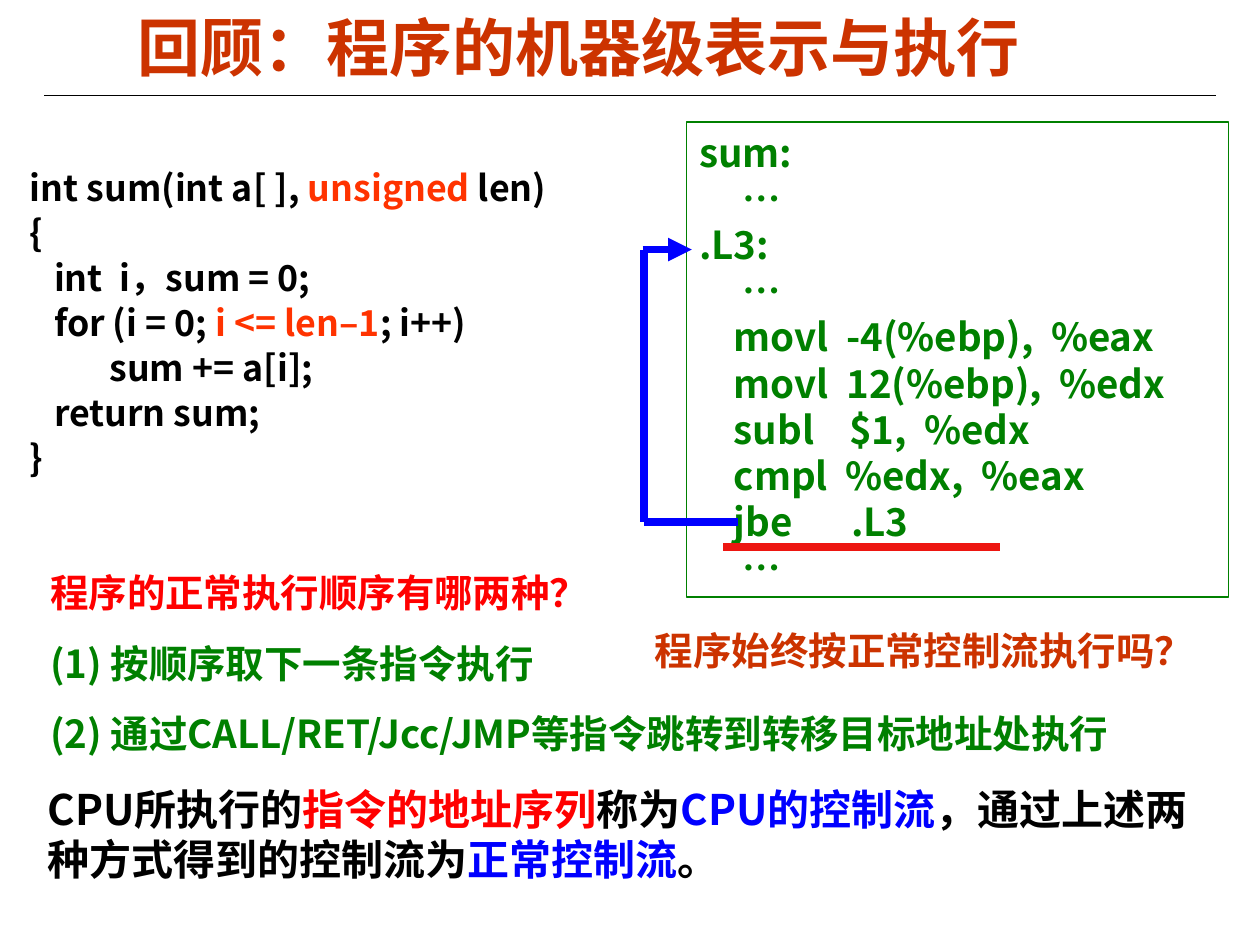
import pptx
import pptx.dml.color
import pptx.enum.shapes
import pptx.enum.text
import pptx.oxml.ns
import pptx.util
from lxml import etree

Pt = pptx.util.Pt
qn = pptx.oxml.ns.qn


class Theme:
    heading = "CC3300"
    black = "000000"
    orange = "FF3300"
    green = "008000"
    red = "FF0000"
    underline = "ED1611"
    blue = "0000FF"
    latin = "Arial"
    cjk = "Noto Sans CJK SC"
    title_size = 36
    code_size = 20.4
    text_size = 22
    summary_size = 24
    leading = 1.2
    code_leading = 1.26
    hairline = 0.75
    thick = 4.5


def rgb(value):
    return pptx.dml.color.RGBColor.from_string(value)


def write(sp, paragraphs, size, font=Theme.cjk, leading=Theme.leading, gap=0):
    """Fill a shape with paragraphs, each a list of (text, colour) runs."""
    tf = sp.text_frame
    tf.word_wrap = True
    for i, runs in enumerate(paragraphs):
        p = tf.paragraphs[0] if i == 0 else tf.add_paragraph()
        p.alignment = pptx.enum.text.PP_ALIGN.LEFT
        if leading:
            p.line_spacing = Pt(size * leading)
        if i:
            p.space_before = Pt(gap)
        for text, color in runs:
            r = p.add_run()
            r.text = text
            r.font.name = font
            r.font.size = Pt(size)
            r.font.bold = True
            r.font.color.rgb = rgb(color)
            etree.SubElement(r.font._element, qn("a:ea"), typeface=Theme.cjk)
    return tf


prs = pptx.Presentation()
prs.slide_width, prs.slide_height = Pt(720), Pt(540)
s = prs.slides.add_slide(prs.slide_layouts[6])

# Title
sp = s.shapes.add_textbox(Pt(6.5), Pt(7.9), Pt(648), Pt(37.4))
tf = write(sp, [[("回顾：程序的机器级表示与执行", Theme.heading)]],
           Theme.title_size, font=Theme.latin, leading=None)
tf.vertical_anchor = pptx.enum.text.MSO_ANCHOR.MIDDLE
tf.paragraphs[0].alignment = pptx.enum.text.PP_ALIGN.CENTER

# C source
c_code = [
    [("int sum(int a[ ], ", Theme.black), ("unsigned", Theme.orange),
     (" len)", Theme.black)],
    [("{", Theme.black)],
    [("   int  i，sum = 0;", Theme.black)],
    [("   for (i = 0; ", Theme.black), ("i <= len–1", Theme.orange),
     ("; i++)", Theme.black)],
    [("\t    sum += a[i];", Theme.black)],
    [("   return sum;", Theme.black)],
    [("}", Theme.black)],
]
sp = s.shapes.add_textbox(Pt(10), Pt(90), Pt(400), Pt(188.6))
tf = write(sp, c_code, Theme.code_size, leading=Theme.code_leading)
for p in tf.paragraphs:
    pPr = p._p.get_or_add_pPr()
    pPr.set("marL", str(Pt(27)))
    pPr.set("indent", str(Pt(-27)))

# Assembly listing
assembly = [
    "sum:",
    "     …",
    ".L3:",
    "     …",
    "    movl  -4(%ebp),  %eax",
    "    movl  12(%ebp),  %edx",
    "    subl    $1,  %edx",
    "    cmpl  %edx,  %eax",
    "    jbe\t   .L3",
    "     …",
]
sp = s.shapes.add_shape(pptx.enum.shapes.MSO_SHAPE.RECTANGLE,
                        Pt(392.4), Pt(69.8), Pt(309.6), Pt(271.4))
sp.shadow.inherit = False
sp.fill.background()
sp.line.color.rgb = rgb(Theme.green)
sp.line.width = Pt(Theme.hairline)
tf = write(sp, [[(line, Theme.green)] for line in assembly], Theme.text_size)
tf.vertical_anchor = pptx.enum.text.MSO_ANCHOR.MIDDLE
for p in tf.paragraphs:
    tabs = etree.SubElement(p._p.get_or_add_pPr(), qn("a:tabLst"))
    etree.SubElement(tabs, qn("a:tab"), pos=str(Pt(72)), algn="l")

# Questions and answers
sp = s.shapes.add_textbox(Pt(21.6), Pt(321.8), Pt(653.8), Pt(113.8))
write(sp, [
    [("程序的正常执行顺序有哪两种？", Theme.red)],
    [("(1) 按顺序取下一条指令执行", Theme.green)],
    [("(2) 通过CALL/RET/Jcc/JMP等指令跳转到转移目标地址处执行", Theme.green)],
], Theme.text_size, gap=13.8)

sp = s.shapes.add_textbox(Pt(367.2), Pt(355), Pt(331.2), Pt(33.8))
write(sp, [[("程序始终按正常控制流执行吗？", Theme.heading)]],
      Theme.text_size, font=Theme.latin)

# Summary
sp = s.shapes.add_textbox(Pt(20.2), Pt(444.2), Pt(676), Pt(64.8))
write(sp, [[
    ("CPU所执行的", Theme.black), ("指令的地址序列", Theme.red),
    ("称为", Theme.black), ("CPU的控制流", Theme.blue),
    ("，通过上述两种方式得到的控制流为", Theme.black),
    ("正常控制流", Theme.blue), ("。", Theme.black),
]], Theme.summary_size)

# Title rule, jump underline, and the jump path back to .L3
lines = [
    (25.2, 54.7, 694.8, 54.7, Theme.black, Theme.hairline, False),
    (413.3, 312.5, 571.7, 312.5, Theme.underline, Theme.thick, False),
    (421.9, 298.1, 367.9, 298.1, Theme.blue, Theme.thick, False),
    (367.9, 143, 367.9, 298.1, Theme.blue, Theme.thick, False),
    (367.2, 142.6, 395.3, 142.6, Theme.blue, Theme.thick, True),
]
for x1, y1, x2, y2, color, width, arrow in lines:
    line = s.shapes.add_connector(pptx.enum.shapes.MSO_CONNECTOR.STRAIGHT,
                                  Pt(x1), Pt(y1), Pt(x2), Pt(y2))
    line.line.color.rgb = rgb(color)
    line.line.width = Pt(width)
    if arrow:
        etree.SubElement(line.line._get_or_add_ln(), qn("a:tailEnd"),
                         type="triangle")
    etree.SubElement(line._element.spPr, qn("a:effectLst"))

prs.save("out.pptx")
